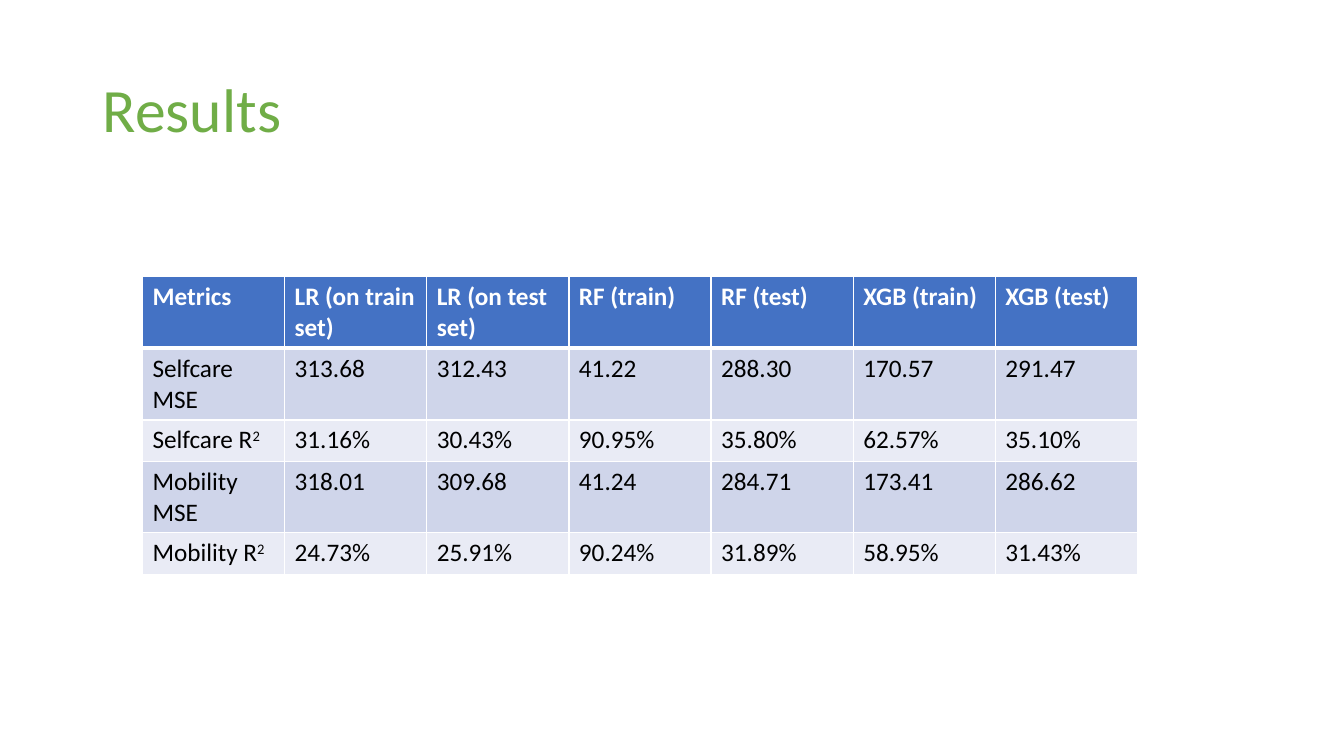
from dataclasses import dataclass

from lxml.etree import SubElement
from pptx import Presentation
from pptx.dml.color import RGBColor
from pptx.enum.text import MSO_ANCHOR, PP_ALIGN
from pptx.oxml.ns import qn
from pptx.util import Inches, Pt

COLORS = {
    "title": "70AD47",
    "header": "4472C4",
    "odd_band": "CFD5EA",
    "even_band": "E9EBF5",
    "border": "FFFFFF",
    "header_text": "FFFFFF",
    "body_text": "000000",
}
FONT = "Calibri"
SLIDE_WIDTH, SLIDE_HEIGHT = Inches(13.33), Inches(7.5)
COLUMN_WIDTH, ROW_HEIGHT = Inches(1.41), Inches(0.41)
THIN, THICK = Pt(1), Pt(3)


@dataclass(frozen=True)
class MetricRow:
    metric: str
    scores: tuple[str, ...]
    exponent: str = ""


@dataclass(frozen=True)
class RowStyle:
    fill: str
    text: str
    bold: bool
    top: int
    bottom: int


MODELS = MetricRow("Metrics", (
    "LR (on train set)", "LR (on test set)", "RF (train)",
    "RF (test)", "XGB (train)", "XGB (test)"))
RESULTS = (
    MetricRow("Selfcare MSE", ("313.68", "312.43", "41.22", "288.30", "170.57", "291.47")),
    MetricRow("Selfcare R", ("31.16%", "30.43%", "90.95%", "35.80%", "62.57%", "35.10%"), "2"),
    MetricRow("Mobility MSE", ("318.01", "309.68", "41.24", "284.71", "173.41", "286.62")),
    MetricRow("Mobility R", ("24.73%", "25.91%", "90.24%", "31.89%", "58.95%", "31.43%"), "2"),
)


def add_run(paragraph, text: str, size: int, color: str, bold: bool = False):
    run = paragraph.add_run()
    run.text = text
    run.font.name = FONT
    run.font.size = Pt(size)
    run.font.bold = bold
    run.font.color.rgb = RGBColor.from_string(COLORS[color])
    return run


def add_borders(cell, top: int, bottom: int) -> None:
    properties = cell._tc.get_or_add_tcPr()
    for side, width in (("L", THIN), ("R", THIN), ("T", top), ("B", bottom)):
        border = SubElement(properties, qn(f"a:ln{side}"), w=str(width))
        fill = SubElement(border, qn("a:solidFill"))
        SubElement(fill, qn("a:srgbClr"), val=COLORS["border"])


def row_style(index: int) -> RowStyle:
    if index == 0:
        return RowStyle("header", "header_text", True, THIN, THICK)
    band = "odd_band" if index % 2 else "even_band"
    return RowStyle(band, "body_text", False, THICK if index == 1 else THIN, THIN)


def fill_cell(cell, text: str, exponent: str, style: RowStyle) -> None:
    add_borders(cell, style.top, style.bottom)
    cell.fill.solid()
    cell.fill.fore_color.rgb = RGBColor.from_string(COLORS[style.fill])
    paragraph = cell.text_frame.paragraphs[0]
    add_run(paragraph, text, 18, style.text, style.bold)
    if exponent:
        power = add_run(paragraph, exponent, 18, style.text, style.bold)
        power._r.get_or_add_rPr().set("baseline", "30000")


def add_heading(slide, text: str) -> None:
    heading = slide.shapes.title
    heading.left, heading.top = round(SLIDE_WIDTH * 0.069), round(SLIDE_HEIGHT * 0.053)
    heading.width, heading.height = round(SLIDE_WIDTH * 0.863), round(SLIDE_HEIGHT * 0.193)
    heading.text_frame.vertical_anchor = MSO_ANCHOR.MIDDLE
    paragraph = heading.text_frame.paragraphs[0]
    paragraph.alignment = PP_ALIGN.LEFT
    paragraph.line_spacing = 0.9
    add_run(paragraph, text, 44, "title")


def add_results(slide, rows: tuple[MetricRow, ...]) -> None:
    column_count = 1 + len(MODELS.scores)
    scores = slide.shapes.add_table(
        len(rows), column_count,
        round(SLIDE_WIDTH * 0.106), round(SLIDE_HEIGHT * 0.366),
        COLUMN_WIDTH * column_count, ROW_HEIGHT * len(rows)).table
    for index, row in enumerate(rows):
        style = row_style(index)
        fill_cell(scores.cell(index, 0), row.metric, row.exponent, style)
        for column, score in enumerate(row.scores, start=1):
            fill_cell(scores.cell(index, column), score, "", style)


def main() -> None:
    presentation = Presentation()
    presentation.slide_width, presentation.slide_height = SLIDE_WIDTH, SLIDE_HEIGHT
    slide = presentation.slides.add_slide(presentation.slide_layouts[5])
    add_heading(slide, "Results")
    add_results(slide, (MODELS, *RESULTS))
    presentation.save("out.pptx")


if __name__ == "__main__":
    main()
